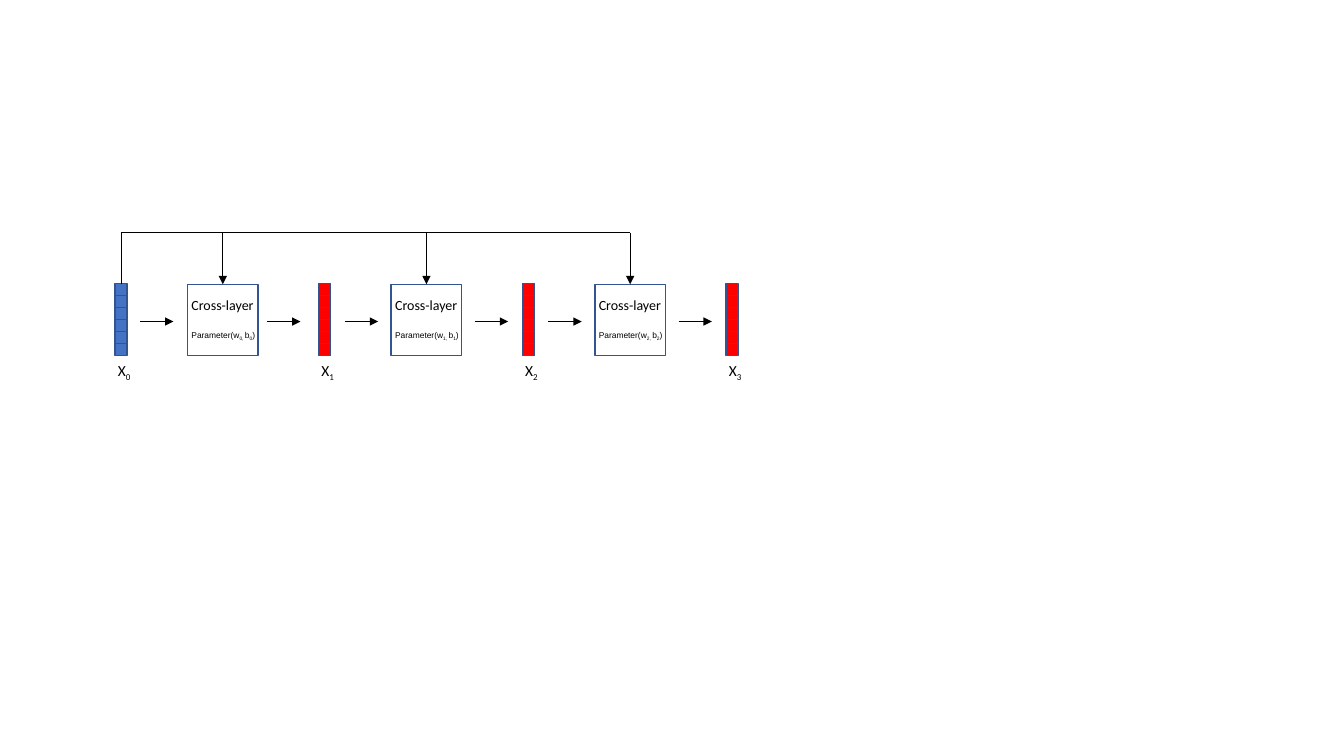
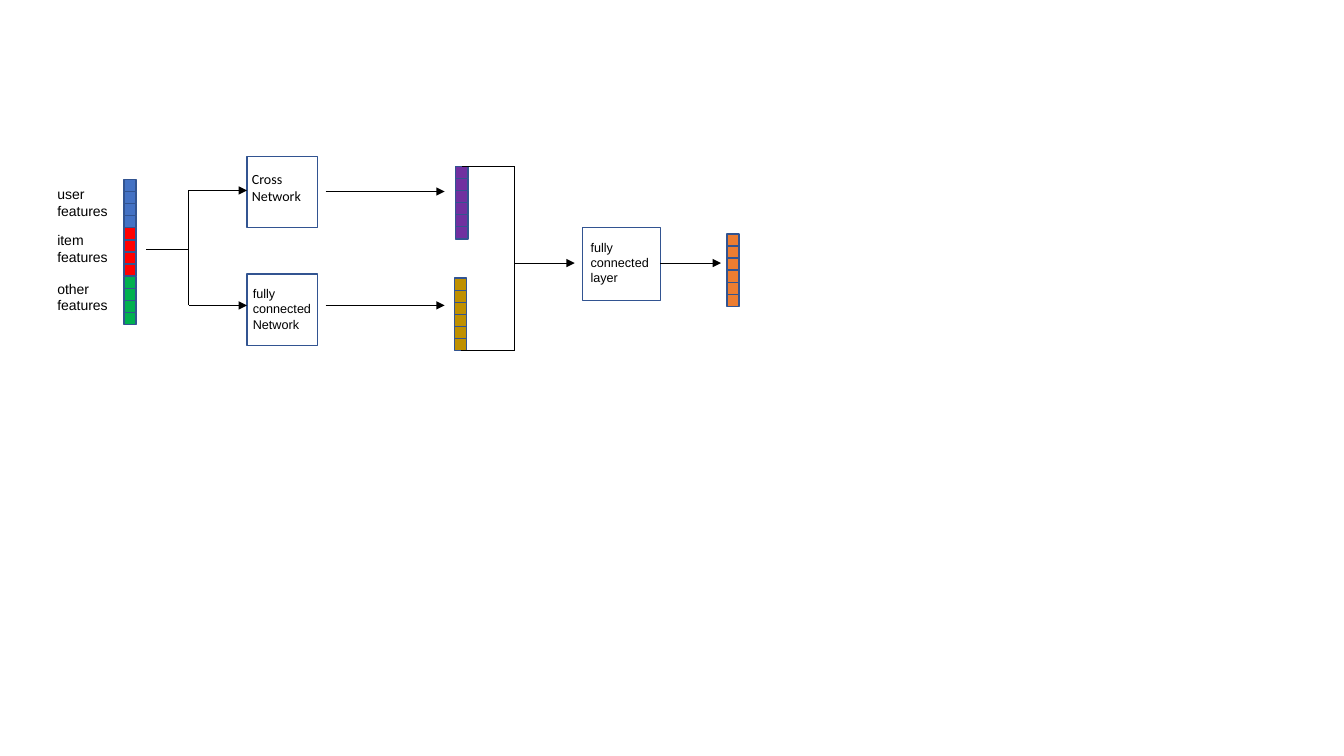
from dataclasses import dataclass

from lxml import etree
from pptx import Presentation
from pptx.dml.color import RGBColor
from pptx.enum.shapes import MSO_CONNECTOR, MSO_SHAPE
from pptx.enum.text import MSO_AUTO_SIZE
from pptx.oxml.ns import qn
from pptx.slide import Slide
from pptx.util import Inches, Pt

RECTANGLE = MSO_SHAPE.RECTANGLE
STRAIGHT = MSO_CONNECTOR.STRAIGHT
FIT_SHAPE = MSO_AUTO_SIZE.SHAPE_TO_FIT_TEXT

COLORS = {
    "blue": "4472C4",
    "red": "FF0000",
    "green": "00B050",
    "purple": "7030A0",
    "gold": "BF9000",
    "orange": "ED7D31",
    "outline": "325491",
    "ink": "000000",
}
CELL = 0.12
BLANK_LAYOUT = 6


@dataclass(frozen=True)
class Area:
    left: float
    top: float
    width: float
    height: float


@dataclass(frozen=True)
class Span:
    text: str
    size: float
    font: str = "Arial"
    subscript: bool = False


@dataclass(frozen=True)
class Stack:
    left: float
    top: float
    cells: list[str]


@dataclass(frozen=True)
class Segment:
    x1: float
    y1: float
    x2: float
    y2: float
    arrow: bool = False


@dataclass(frozen=True)
class Label:
    area: Area
    span: Span


def color(name: str) -> RGBColor:
    return RGBColor.from_string(COLORS[name])


def draw_box(page: Slide, area: Area, fill: str | None = None) -> None:
    box = page.shapes.add_shape(RECTANGLE, Inches(area.left), Inches(area.top),
                                Inches(area.width), Inches(area.height))
    box.shadow.inherit = False
    if fill:
        box.fill.solid()
        box.fill.fore_color.rgb = color(fill)
    else:
        box.fill.background()
    box.line.color.rgb = color("outline")
    box.line.width = Pt(1)


def draw_stack(page: Slide, stack: Stack) -> None:
    for row, fill in enumerate(stack.cells):
        draw_box(page, Area(stack.left, stack.top + row * CELL, CELL, CELL), fill)


def draw_segment(page: Slide, segment: Segment) -> None:
    line = page.shapes.add_connector(
        STRAIGHT, Inches(segment.x1), Inches(segment.y1),
        Inches(segment.x2), Inches(segment.y2))
    line.line.color.rgb = color("ink")
    line.line.width = Pt(0.5)
    properties = line._element.spPr
    if segment.arrow:
        etree.SubElement(properties.find(qn("a:ln")), qn("a:tailEnd"), type="triangle")
    etree.SubElement(properties, qn("a:effectLst"))


def draw_text(page: Slide, area: Area, paragraphs: list[list[Span]], gap: float = 0) -> None:
    box = page.shapes.add_textbox(Inches(area.left), Inches(area.top),
                                  Inches(area.width), Inches(area.height))
    frame = box.text_frame
    frame.word_wrap = True
    frame.auto_size = FIT_SHAPE
    for index, spans in enumerate(paragraphs):
        para = frame.add_paragraph() if index else frame.paragraphs[0]
        if index:
            para.space_before = Pt(gap)
        for span in spans:
            run = para.add_run()
            run.text = span.text
            run.font.size = Pt(span.size)
            run.font.name = span.font
            run.font.color.rgb = color("ink")
            if span.subscript:
                run.font._element.set("baseline", "-25000")


def add_page(deck: Presentation) -> Slide:
    return deck.slides.add_slide(deck.slide_layouts[BLANK_LAYOUT])


def build_cross_layers(page: Slide) -> None:
    step, layers = 2.02, 3
    rail, box_top, flow = 2.31, 2.82, 3.19

    # Feature vectors X0 to X3
    for index in range(layers + 1):
        shift = index * step
        fill = "red" if index else "blue"
        draw_stack(page, Stack(1.14 + shift, 2.81, [fill] * 6))
        draw_text(page, Area(1.07 + shift, 3.53, 0.33, 0.29),
                  [[Span("X", 11, "Calibri"), Span(str(index), 11, "Calibri", True)]])

    # Rail that feeds X0 to every layer
    draw_segment(page, Segment(1.2, box_top, 1.2, rail))
    draw_segment(page, Segment(1.2, rail, 6.25, rail))

    # Cross layers
    for index in range(layers):
        shift = index * step
        draw_box(page, Area(1.86 + shift, box_top, 0.7, 0.71))
        draw_segment(page, Segment(2.21 + shift, rail, 2.21 + shift, box_top, True))
        draw_text(page, Area(1.8 + shift, 2.89, 0.88, 0.54), [
            [Span("Cross-layer", 10, "Calibri")],
            [Span("Parameter(w", 6), Span(f"{index}, ", 6, subscript=True),
             Span("b", 6), Span(str(index), 6, subscript=True), Span(")", 6)],
        ], gap=12)

    # Flow from left to right
    for start in (1.39, 2.65, 3.42, 4.71, 5.44, 6.73):
        draw_segment(page, Segment(start, flow, start + 0.33, flow, True))


def build_network(page: Slide) -> None:
    # Feature vectors
    stacks = [
        Stack(1.23, 1.78, ["blue"] * 4 + ["red"] * 4 + ["green"] * 4),
        Stack(4.52, 1.65, ["purple"] * 6),
        Stack(4.51, 2.76, ["gold"] * 6),
        Stack(7.21, 2.32, ["orange"] * 6),
    ]
    for stack in stacks:
        draw_stack(page, stack)

    # Network boxes
    for area in (Area(2.45, 1.55, 0.7, 0.71), Area(2.45, 2.72, 0.7, 0.71),
                 Area(5.78, 2.26, 0.77, 0.72)):
        draw_box(page, area)

    # Branch, merge and output lines
    segments = [
        Segment(1.45, 2.47, 1.87, 2.47),
        Segment(1.87, 1.89, 1.87, 3.03),
        Segment(1.87, 1.89, 2.45, 1.89, True),
        Segment(1.87, 3.03, 2.45, 3.03, True),
        Segment(3.23, 1.9, 4.41, 1.9, True),
        Segment(3.23, 3.03, 4.41, 3.03, True),
        Segment(4.58, 1.65, 5.1, 1.65),
        Segment(5.1, 1.65, 5.1, 3.48),
        Segment(4.57, 3.48, 5.1, 3.48),
        Segment(5.1, 2.61, 5.7, 2.61, True),
        Segment(6.55, 2.61, 7.15, 2.61, True),
    ]
    for segment in segments:
        draw_segment(page, segment)

    # Labels
    labels = [
        Label(Area(0.47, 1.79, 0.74, 0.44), Span("user features", 10)),
        Label(Area(0.47, 2.25, 0.74, 0.44), Span("item features", 10)),
        Label(Area(0.47, 2.73, 0.74, 0.44), Span("other features", 10)),
        Label(Area(2.4, 1.64, 0.88, 0.44), Span("Cross Network", 10, "Calibri")),
        Label(Area(2.41, 2.79, 0.83, 0.86), Span("fully connected Network", 9)),
        Label(Area(5.76, 2.33, 0.8, 0.56), Span("fully connected layer", 9)),
    ]
    for label in labels:
        draw_text(page, label.area, [[label.span]])


deck = Presentation()
deck.slide_width = Inches(13.33)
deck.slide_height = Inches(7.5)
build_cross_layers(add_page(deck))
build_network(add_page(deck))
deck.save("out.pptx")
